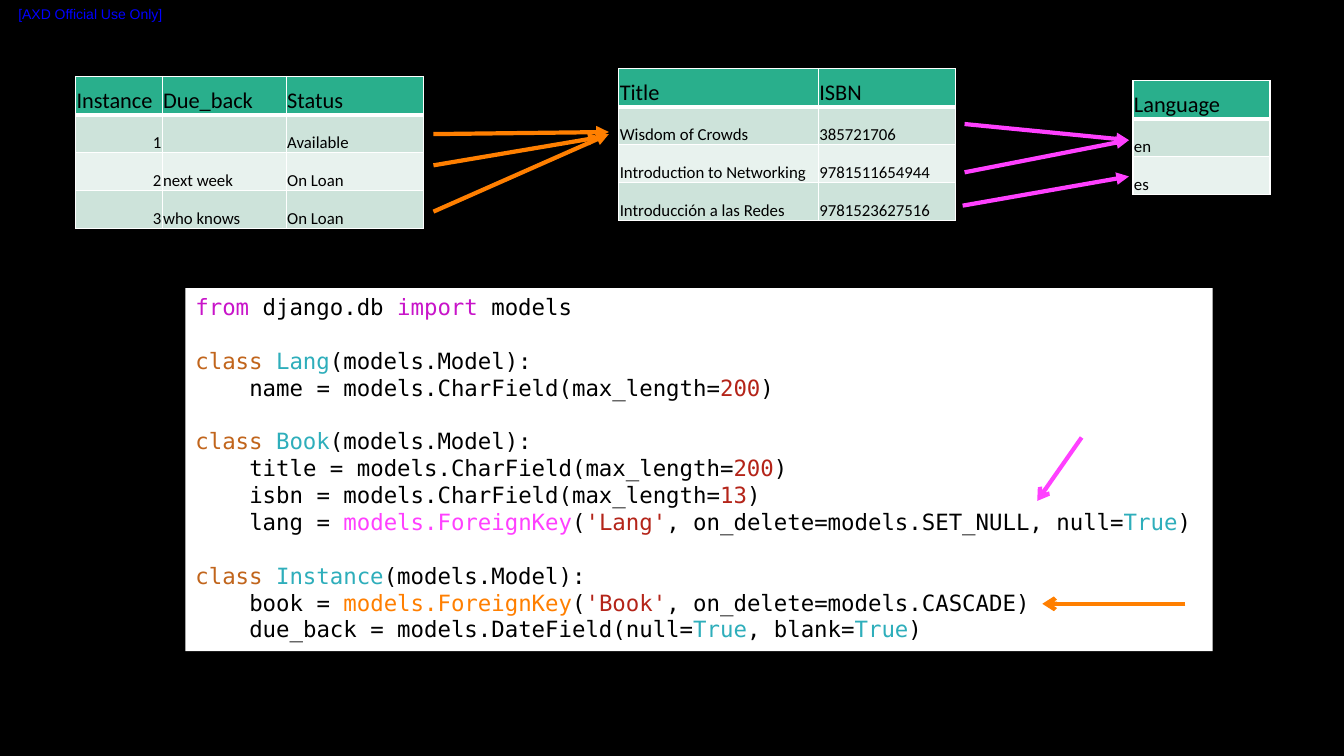
from lxml.etree import SubElement as Sub
from pptx import Presentation
from pptx.dml.color import RGBColor
from pptx.enum.shapes import MSO_CONNECTOR as Link, MSO_SHAPE as Shape
from pptx.enum.text import MSO_ANCHOR as Anchor, PP_ALIGN as Align
from pptx.oxml.ns import qn
from pptx.util import Pt

BLACK, WHITE, BLUE = "000000", "FFFFFF", "0000FF"
HEAD, BANDS = "29AF8C", ("CDE3DA", "E8F2EE")
PINK, ORANGE = "FF40FF", "FF7F00"
PURPLE, BROWN, TEAL, RED = "C814C9", "C1651C", "2EAEBB", "B42419"
MONO = "DejaVu Sans Mono"
ROW, STEP, LINE = 27.2, 38.5, 19.2

LABEL = "[AXD Official Use Only]"

TABLES = [
    (442, 49, (142.6, 97.9), [
        ("Title", "ISBN"),
        ("Wisdom of Crowds", "385721706"),
        ("Introduction to Networking", "9781511654944"),
        ("Introducción a las Redes", "9781523627516"),
    ]),
    (809.3, 57.6, (97.9,), [("Language",), ("en",), ("es",)]),
    (54, 54.7, (61.9, 88.6, 97.9), [
        ("Instance", "Due_back", "Status"),
        ("1", "", "Available"),
        ("2", "next week", "On Loan"),
        ("3", "who knows", "On Loan"),
    ]),
]

ARROWS = [
    (309.6, 95.8, 434.9, 94.3, ORANGE, "triangle"),
    (309.6, 118.1, 429.1, 97.9, ORANGE, "triangle"),
    (309.6, 151.2, 434.9, 95.8, ORANGE, "triangle"),
    (689, 88.6, 806.4, 100.1, PINK, "triangle"),
    (689, 123.1, 806.4, 100.1, PINK, "triangle"),
    (687.6, 146.9, 806.4, 126, PINK, "triangle"),
    (772.6, 312.5, 740.9, 357.8, PINK, "arrow"),
    (846.7, 431.3, 744.5, 431.3, ORANGE, "arrow"),
]


def begin(name):
    return [("class ", BROWN), (name, TEAL), ("(models.Model):", BLACK)]


def chars(name, size):
    return [(f"{name} = models.CharField(max_length=", BLACK), (size, RED), (")", BLACK)]


def key(name, hue, goal, rest):
    return [(f"{name} = ", BLACK), ("models.ForeignKey", hue), ("(", BLACK),
            (goal, RED), (rest, BLACK)]


BLOCKS = [
    [[("from ", PURPLE), ("django.db ", BLACK), ("import", PURPLE), (" models", BLACK)]],
    [begin("Lang"), chars("name", "200")],
    [
        begin("Book"),
        chars("title", "200"),
        chars("isbn", "13"),
        key("lang", PINK, "'Lang'", ", on_delete=models.SET_NULL, null=")
        + [("True", TEAL), (")", BLACK)],
    ],
    [
        begin("Instance"),
        key("book", ORANGE, "'Book'", ", on_delete=models.CASCADE)"),
        [("due_back = models.DateField(null=", BLACK), ("True", TEAL),
         (", blank=", BLACK), ("True", TEAL), (")", BLACK)],
    ],
]


def paint(fill, hue):
    fill.solid()
    fill.fore_color.rgb = RGBColor.from_string(hue)


def write(para, text, size, font, hue):
    run = para.add_run()
    run.text = text
    run.font.size = Pt(size)
    run.font.name = font
    paint(run.font.fill, hue)


def inset(part, left, top, right, base):
    part.margin_left, part.margin_top = Pt(left), Pt(top)
    part.margin_right, part.margin_bottom = Pt(right), Pt(base)


def edge(cell, head):
    props = cell._tc.get_or_add_tcPr()
    for side in "LRTB":
        width = 3 if head and side == "B" else 1
        line = Sub(props, qn(f"a:ln{side}"), w=str(Pt(width)))
        Sub(Sub(line, qn("a:solidFill")), qn("a:srgbClr"), val=WHITE)


def draw_table(slide, left, top, cols, rows):
    frame = slide.shapes.add_table(len(rows), len(cols), Pt(left), Pt(top),
                                   Pt(sum(cols)), Pt(ROW * len(rows)))
    table = frame.table
    for col, width in zip(table.columns, cols):
        col.width = Pt(width)
    for r, row in enumerate(rows):
        table.rows[r].height = Pt(ROW)
        for c, text in enumerate(row):
            cell = table.cell(r, c)
            edge(cell, r == 0)
            paint(cell.fill, BANDS[(r - 1) % 2] if r else HEAD)
            inset(cell, 0.7, 0.7, 0.7, 0)
            cell.vertical_anchor = Anchor.BOTTOM
            para = cell.text_frame.paragraphs[0]
            if text:
                write(para, text, 12 if r else 16, "Calibri", BLACK)
            if len(text) == 1:
                para.alignment = Align.RIGHT


def draw_arrow(slide, x1, y1, x2, y2, hue, tip):
    arrow = slide.shapes.add_connector(Link.STRAIGHT, Pt(x1), Pt(y1), Pt(x2), Pt(y2))
    arrow.line.width = Pt(3)
    paint(arrow.line.fill, hue)
    Sub(arrow.line._get_or_add_ln(), qn("a:tailEnd"), type=tip)
    Sub(arrow._element.spPr, qn("a:effectLst"))


def draw_label(slide):
    frame = slide.shapes.add_textbox(0, 0, Pt(128.9), Pt(19.4)).text_frame
    frame.word_wrap = True
    frame.vertical_anchor = Anchor.MIDDLE
    inset(frame, 0, 0, 0, 0)
    para = frame.paragraphs[0]
    para.alignment = Align.CENTER
    write(para, LABEL, 10, "Arial", BLUE)


def draw_code(slide):
    box = slide.shapes.add_shape(Shape.RECTANGLE, Pt(132.5), Pt(205.9), Pt(733.7), Pt(259.2))
    box.shadow.inherit = False
    paint(box.fill, WHITE)
    box.line.fill.background()
    frame = box.text_frame
    frame.word_wrap = True
    frame.vertical_anchor = Anchor.TOP
    inset(frame, 7.2, 3.6, 7.2, 3.6)
    for b, block in enumerate(BLOCKS):
        for n, line in enumerate(block):
            para = frame.add_paragraph() if b or n else frame.paragraphs[0]
            para.alignment = Align.LEFT
            if n:
                para._p.get_or_add_pPr().set("marL", str(Pt(STEP)))
            elif b:
                para.space_before = Pt(LINE)
            for text, hue in line:
                write(para, text, 16, MONO, hue)


def main():
    deck = Presentation()
    deck.slide_width, deck.slide_height = Pt(960), Pt(540)
    slide = deck.slides.add_slide(deck.slide_layouts[6])
    paint(slide.background.fill, BLACK)
    draw_label(slide)
    for table in TABLES:
        draw_table(slide, *table)
    draw_code(slide)
    for arrow in ARROWS:
        draw_arrow(slide, *arrow)
    deck.save("out.pptx")


if __name__ == "__main__":
    main()
